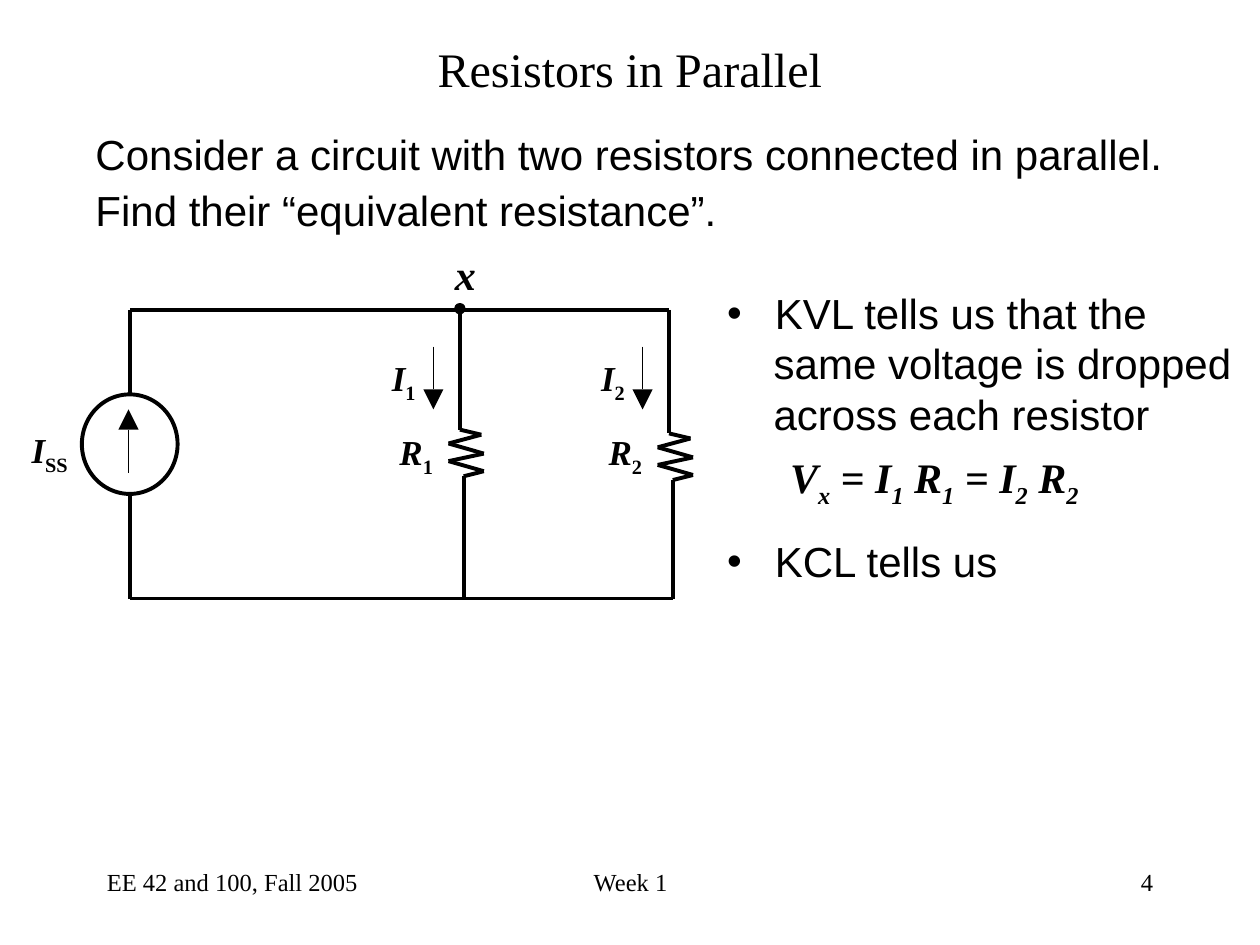
import pptx
import pptx.dml.color
import pptx.enum.shapes
import pptx.enum.text
import pptx.oxml
import pptx.oxml.ns
import pptx.util

PX = 9144  # EMU per px, 100 px to the inch
COLORS = {"ink": "000000", "paper": "FFFFFF"}
SANS, SERIF = "Arial", "Times New Roman"
WIRE, THIN = 2.25, 0.75
ALIGN = pptx.enum.text.PP_ALIGN
ANCHOR = pptx.enum.text.MSO_ANCHOR
SHAPE = pptx.enum.shapes.MSO_SHAPE

# Points of a resistor, measured from the upper wire above it
ZIGZAG = [(0, 75), (0, 95), (17, 99), (-9, 106), (19, 114),
          (-9, 120), (19, 128), (3, 132), (3, 152)]


def color(name):
    return pptx.dml.color.RGBColor.from_string(COLORS[name])


def emu(*lengths):
    return [length * PX for length in lengths]


def format_font(font, size, face, bold=False, italic=False):
    font.size, font.name = pptx.util.Pt(size), face
    font.bold, font.italic = bold, italic
    font.color.rgb = color("ink")


def set_frame(frame, margins=(10, 5), wrap=True, anchor=ANCHOR.TOP):
    frame.margin_left = frame.margin_right = margins[0] * PX
    frame.margin_top = frame.margin_bottom = margins[1] * PX
    frame.auto_size = pptx.enum.text.MSO_AUTO_SIZE.NONE
    frame.word_wrap = wrap
    frame.vertical_anchor = anchor


def place(shape, box):
    shape.left, shape.top, shape.width, shape.height = emu(*box)


def set_indent(paragraph, left, first=0, bullet=None):
    properties = paragraph._p.get_or_add_pPr()
    properties.set("marL", str(left * PX))
    properties.set("indent", str(first * PX))
    mark = pptx.oxml.ns.qn("a:buChar" if bullet else "a:buNone")
    element = properties.makeelement(mark, {"char": bullet} if bullet else {})
    properties.append(element)


def add_symbols(paragraph, pairs, size, italic_subscript):
    """Write (base, subscript) pairs as bold serif runs."""
    for base, subscript in pairs:
        run = paragraph.add_run()
        run.text = base
        format_font(run.font, size, SERIF, True, True)
        if subscript:
            run = paragraph.add_run()
            run.text = subscript
            format_font(run.font, size, SERIF, True, italic_subscript)
            run._r.get_or_add_rPr().set("baseline", "-25000")


def add_label(slide, box, base, subscript="", size=20):
    frame = slide.shapes.add_textbox(*emu(*box)).text_frame
    set_frame(frame, (0, 0), wrap=False)
    add_symbols(frame.paragraphs[0], [(base, subscript)], size, False)


def add_line(shapes, start, end, weight=WIRE):
    line = shapes.add_connector(
        pptx.enum.shapes.MSO_CONNECTOR.STRAIGHT, *emu(*start, *end))
    line.line.width = pptx.util.Pt(weight)
    line.line.color.rgb = color("ink")
    line._element.spPr.append(pptx.oxml.parse_xml(
        f"<a:effectLst {pptx.oxml.ns.nsdecls('a')}/>"))


def add_circle(slide, box, fill, weight):
    circle = slide.shapes.add_shape(SHAPE.OVAL, *emu(*box))
    circle.shadow.inherit = False
    circle.fill.solid()
    circle.fill.fore_color.rgb = color(fill)
    circle.line.color.rgb = color("ink")
    circle.line.width = pptx.util.Pt(weight)


def add_current_arrow(slide, x, tail, tip):
    """Draw a thin vertical arrow with a solid triangular head."""
    shapes = slide.shapes.add_group_shape().shapes
    base = tip - 16 if tip > tail else tip + 16
    add_line(shapes, (x, tail), (x, base), THIN)
    outline = shapes.build_freeform(x - 8, base, scale=PX)
    outline.add_line_segments([(x, tip), (x + 8, base)], close=True)
    head = outline.convert_to_shape()
    head.shadow.inherit = False
    head.fill.solid()
    head.fill.fore_color.rgb = color("ink")
    head.line.fill.background()


def add_branch(slide, x, top, height, number, drop):
    """Draw one resistor branch; drop lowers its zigzag."""
    shapes = slide.shapes.add_group_shape().shapes
    points = [(x + dx, top + dy + drop) for dx, dy in ZIGZAG]
    for start, end in zip(points, points[1:]):
        add_line(shapes, start, end)
    add_line(slide.shapes, (x, top), (x, top + 82))
    add_line(slide.shapes, (x + 3, top + 151), (x + 3, top + height))
    add_current_arrow(slide, x - 21, top + 29, top + 79)
    add_label(slide, (x - 54, top + 37, 19, 38), "I", number)
    add_label(slide, (x - 48, top + 96, 27, 38), "R", number)


def add_circuit(slide, left, top, width, height):
    right, bottom, node = left + width, top + height, left + 262
    add_line(slide.shapes, (left, top), (left, bottom))
    add_circle(slide, (left - 38, top + 67, 76, 79), "paper", WIRE)
    add_line(slide.shapes, (left, top), (right, top))
    add_line(slide.shapes, (left, bottom), (right + 3, bottom))
    add_branch(slide, node, top, height, "1", 0)
    add_branch(slide, right, top, height, "2", 3)
    add_current_arrow(slide, left - 1, top + 129, top + 79)
    add_label(slide, (left - 78, top + 94, 29, 38), "I", "SS")
    add_circle(slide, (node - 4, top - 5, 8, 8), "ink", THIN)
    add_label(slide, (node - 4, top - 49, 16, 40), "x", size=24)


def add_title(slide, box):
    title = slide.shapes.title
    place(title, box)
    set_frame(title.text_frame, anchor=ANCHOR.MIDDLE)
    title.text_frame.text = "Resistors in Parallel"
    paragraph = title.text_frame.paragraphs[0]
    paragraph.alignment = ALIGN.CENTER
    format_font(paragraph.runs[0].font, 27.5, SERIF)


def add_task(slide, box):
    frame = slide.shapes.add_textbox(*emu(*box)).text_frame
    set_frame(frame, wrap=False, anchor=ANCHOR.MIDDLE)
    frame.text = ("Consider a circuit with two resistors connected in parallel.\n"
                  "Find their “equivalent resistance”.")
    for paragraph in frame.paragraphs:
        format_font(paragraph.runs[0].font, 24, SANS)
    frame.paragraphs[1].space_before = pptx.util.Pt(3)


def add_laws(slide, box):
    body = slide.placeholders[1]
    place(body, box)
    frame = body.text_frame
    set_frame(frame, anchor=ANCHOR.MIDDLE)
    frame.text = ("KVL tells us that the\nsame voltage is dropped\n"
                  "across each resistor\n\nKCL tells us")
    gaps = [0, 0, 0, 7.5, 15]
    for index, (paragraph, gap) in enumerate(zip(frame.paragraphs, gaps)):
        if index == 3:
            paragraph.level = 1
            set_indent(paragraph, 50)
            add_symbols(paragraph, [("V", "x"), (" = I", "1"), (" R", "1"),
                                    (" = I", "2"), (" R", "2")], 24, True)
        else:
            bulleted = index in (0, 4)
            set_indent(paragraph, 38 if bulleted else 37,
                       -38 if bulleted else 0, "•" if bulleted else None)
            format_font(paragraph.runs[0].font, 24, SANS)
        paragraph.space_before = pptx.util.Pt(gap)
        paragraph.alignment = ALIGN.LEFT


def add_footer(slide, top, height):
    parts = [("EE 42 and 100, Fall 2005", 75, 233, ALIGN.LEFT),
             ("Week 1", 342, 317, ALIGN.CENTER),
             ("4", 717, 208, ALIGN.RIGHT)]
    for text, left, width, alignment in parts:
        frame = slide.shapes.add_textbox(*emu(left, top, width, height)).text_frame
        set_frame(frame)
        frame.text = text
        frame.paragraphs[0].alignment = alignment
        format_font(frame.paragraphs[0].runs[0].font, 14, SERIF)


def main():
    deck = pptx.Presentation()
    deck.slide_width, deck.slide_height = emu(1000, 750)
    slide = deck.slides.add_slide(deck.slide_layouts[1])
    add_footer(slide, 683, 50)
    add_laws(slide, (567, 223, 425, 247))
    add_circuit(slide, 103, 246, 428, 229)
    add_title(slide, (50, 25, 900, 58))
    add_task(slide, (66, 97, 866, 94))
    deck.save("out.pptx")


if __name__ == "__main__":
    main()
